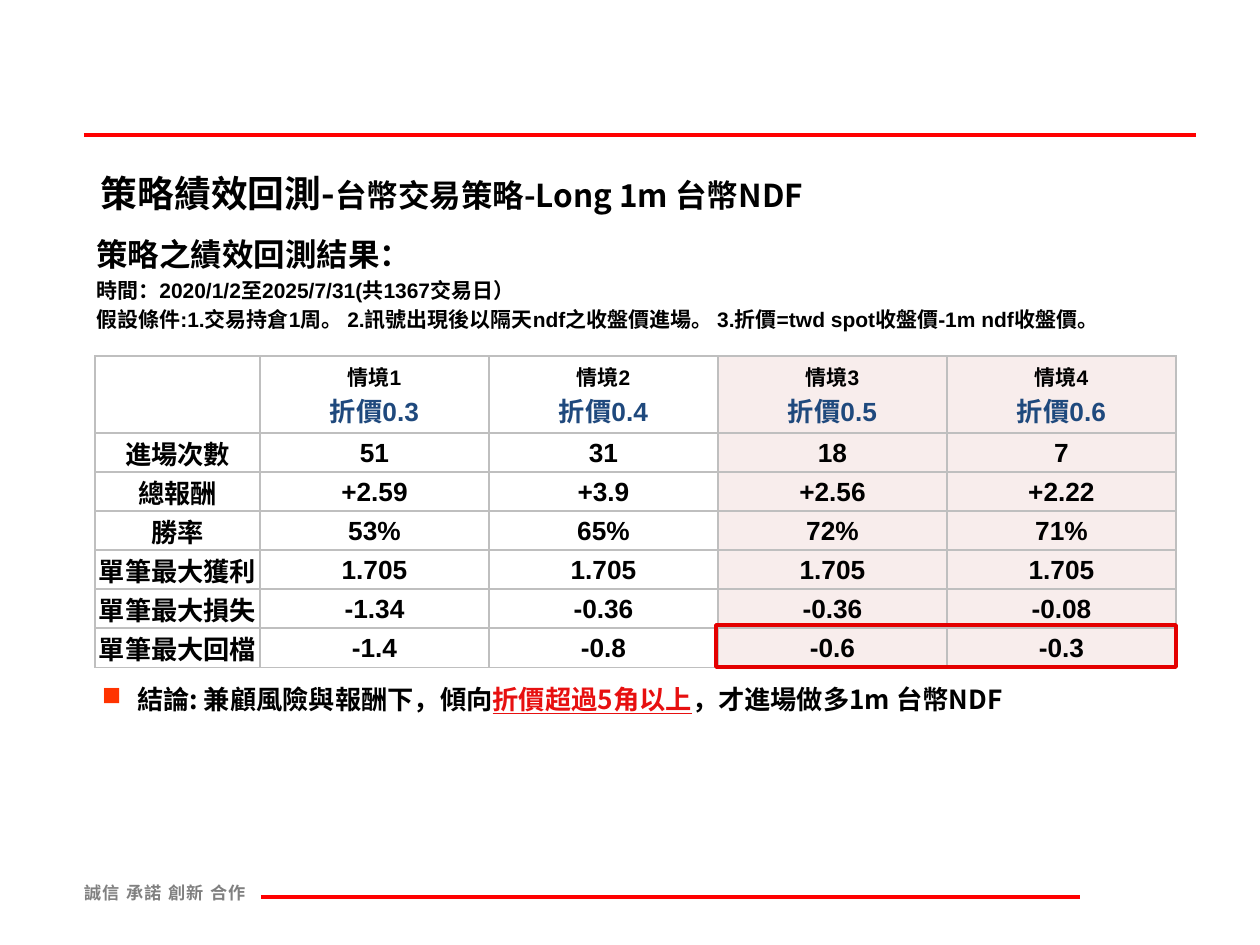
"""Build the backtest results slide for the long 1m TWD NDF strategy."""
import pptx
import pptx.dml.color
import pptx.enum.shapes
import pptx.enum.text
import pptx.oxml
import pptx.oxml.ns
import pptx.util

NS = pptx.oxml.ns.nsdecls("a")
CJK = "Noto Sans CJK SC"


def px(length):
    return pptx.util.Emu(round(length * 914400 / 126))


def rgb(color):
    return pptx.dml.color.RGBColor.from_string(color)


deck = pptx.Presentation()
deck.slide_width, deck.slide_height = px(1260), px(945)
slide = deck.slides.add_slide(deck.slide_layouts[5])

for left, right, y in [(84, 1196, 135), (261, 1080, 897)]:
    rule = slide.shapes.add_connector(
        pptx.enum.shapes.MSO_CONNECTOR.STRAIGHT, px(left), px(y), px(right), px(y))
    rule.line.color.rgb = rgb("FF0000")
    rule.line.width = pptx.util.Pt(2.25)
    rule._element.spPr.append(pptx.oxml.parse_xml(f"<a:effectLst {NS}/>"))

title = slide.shapes.title
motto = slide.shapes.add_textbox(px(76), px(877), px(238), px(30))
summary = slide.shapes.add_textbox(px(84), px(229), px(1091), px(151))
conclusion = slide.shapes.add_textbox(px(93), px(678), px(929), px(86))
title.left, title.top, title.width, title.height = px(92), px(163), px(1077), px(59)
for box in (title, motto, conclusion):
    frame = box.text_frame
    frame.margin_left = frame.margin_right = px(9)
    frame.margin_top = frame.margin_bottom = px(5)
for box in (title, motto, summary, conclusion):
    box.text_frame.word_wrap = True
    box.text_frame.auto_size = pptx.enum.text.MSO_AUTO_SIZE.NONE

title.text_frame.vertical_anchor = pptx.enum.text.MSO_ANCHOR.MIDDLE
heading = title.text_frame.paragraphs[0]
heading.alignment = pptx.enum.text.PP_ALIGN.LEFT
heading.font.name = CJK
heading.font.bold = True
heading.font.color.rgb = rgb("000000")
for words, size in [("策略績效回測-", 21), ("台幣交易策略-Long 1m 台幣NDF", 18)]:
    run = heading.add_run()
    run.text = words
    run.font.size = pptx.util.Pt(size)

values = motto.text_frame.paragraphs[0]
values.text = "誠信\t承諾\t創新\t合作"
stops = "".join(f'<a:tab pos="{px(42 * n)}" algn="l"/>' for n in (1, 2, 3))
values._p.get_or_add_pPr().append(pptx.oxml.parse_xml(f"<a:tabLst {NS}>{stops}</a:tabLst>"))
values.font.name = CJK
values.font.size = pptx.util.Pt(9.8)
values.font.bold = True
values.font.color.rgb = rgb("808080")

summary_lines = [
    ("策略之績效回測結果：", 18),
    ("時間：2020/1/2至2025/7/31(共1367交易日）", 12),
    ("假設條件:1.交易持倉1周。 2.訊號出現後以隔天ndf之收盤價進場。 "
     "3.折價=twd spot收盤價-1m ndf收盤價。", 12),
]
for index, (words, size) in enumerate(summary_lines):
    line = summary.text_frame.paragraphs[0]
    if index:
        line = summary.text_frame.add_paragraph()
        line.space_before = pptx.util.Pt(2.4)
    line.text = words
    line.font.name = "Arial"
    line.font.size = pptx.util.Pt(size)
    line.font.bold = True
    line.font.color.rgb = rgb("000000")

results = [
    ["", "情境1\v折價0.3", "情境2\v折價0.4", "情境3\v折價0.5", "情境4\v折價0.6"],
    ["進場次數", "51", "31", "18", "7"],
    ["總報酬", "+2.59", "+3.9", "+2.56", "+2.22"],
    ["勝率", "53%", "65%", "72%", "71%"],
    ["單筆最大獲利", "1.705", "1.705", "1.705", "1.705"],
    ["單筆最大損失", "-1.34", "-0.36", "-0.36", "-0.08"],
    ["單筆最大回檔", "-1.4", "-0.8", "-0.6", "-0.3"],
]
table = slide.shapes.add_table(7, 5, px(95), px(356), px(1081), px(311)).table
for index, column in enumerate(table.columns):
    column.width = px(229 if index else 165)
for index, row in enumerate(table.rows):
    row.height = px(39 if index else 77)
for row, entries in enumerate(results):
    for column, entry in enumerate(entries):
        cell = table.cell(row, column)
        cell.margin_left = cell.margin_right = cell.margin_top = px(1)
        cell.margin_bottom = 0
        cell.vertical_anchor = pptx.enum.text.MSO_ANCHOR.MIDDLE
        for side in "LRTB":
            cell._tc.get_or_add_tcPr().append(pptx.oxml.parse_xml(
                f'<a:ln{side} {NS} w="12700"><a:solidFill><a:srgbClr val="BFBFBF"/>'
                f"</a:solidFill></a:ln{side}>"))
        if column >= 3:
            cell.fill.solid()
            cell.fill.fore_color.rgb = rgb("F8EDEC")
        else:
            cell.fill.background()
        figure = cell.text_frame.paragraphs[0]
        figure.text = entry
        figure.alignment = pptx.enum.text.PP_ALIGN.CENTER
        figure.font.name = "Arial"
        figure.font.size = pptx.util.Pt(15)
        figure.font.bold = True
        figure.font.color.rgb = rgb("000000")
        if row == 0 and column:
            scenario, discount = figure.runs
            scenario.font.size = pptx.util.Pt(12)
            discount.font.color.rgb = rgb("1F497D")

verdict = conclusion.text_frame.paragraphs[0]
bullet = verdict._p.get_or_add_pPr()
bullet.set("marL", str(px(35)))
bullet.set("indent", str(px(-35)))
bullet.append(pptx.oxml.parse_xml(f'<a:buClr {NS}><a:srgbClr val="FF3300"/></a:buClr>'))
bullet.append(pptx.oxml.parse_xml(f'<a:buChar {NS} char="■"/>'))
verdict.font.name = CJK
verdict.font.size = pptx.util.Pt(15)
verdict.font.bold = True
verdict.font.color.rgb = rgb("000000")
for words, stressed in [("結論: 兼顧風險與報酬下，傾向", False),
                        ("折價超過5角以上", True),
                        ("，才進場做多1m 台幣NDF", False)]:
    run = verdict.add_run()
    run.text = words
    if stressed:
        run.font.underline = True
        run.font.color.rgb = rgb("E71010")

highlight = slide.shapes.add_shape(
    pptx.enum.shapes.MSO_SHAPE.RECTANGLE, px(716), px(625), px(460), px(42))
highlight.shadow.inherit = False
highlight.fill.background()
highlight.line.color.rgb = rgb("E40000")
highlight.line.width = pptx.util.Pt(2)

deck.save("out.pptx")
